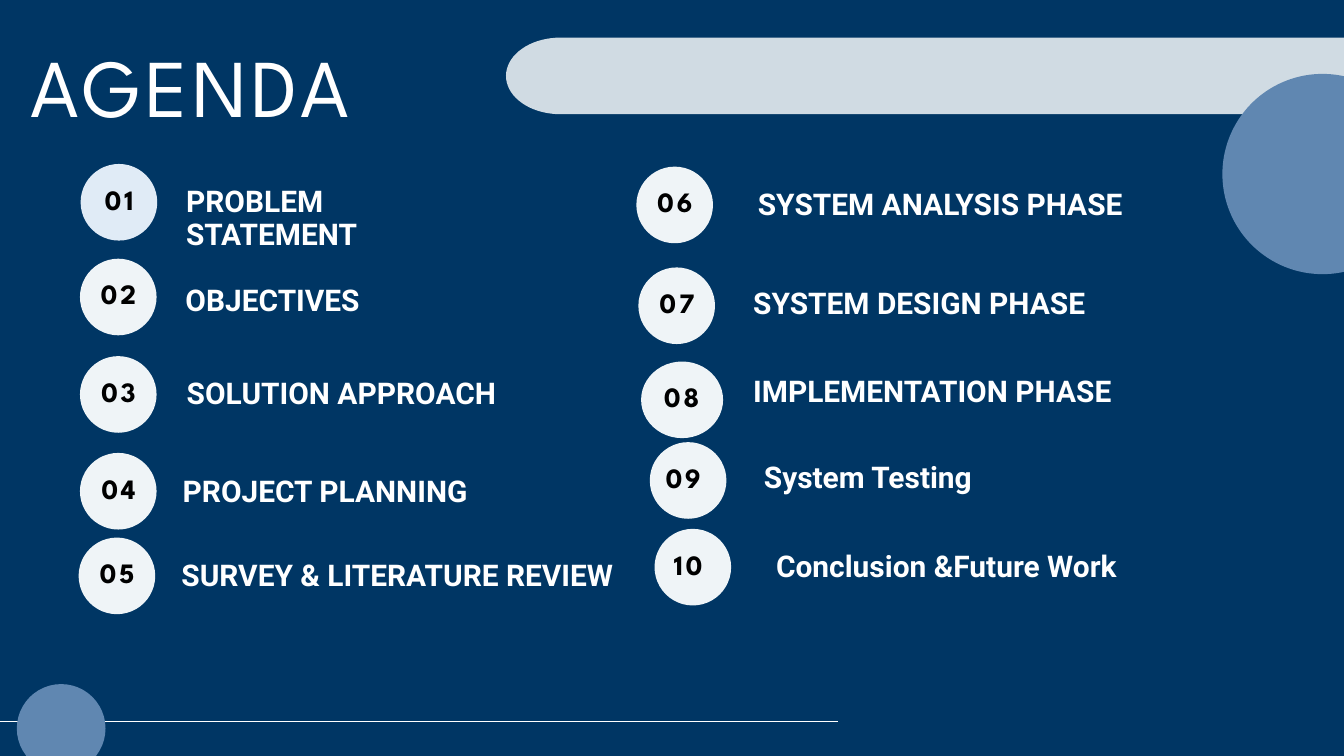
import math

import pptx
import pptx.dml.color
import pptx.enum.shapes
import pptx.enum.text
import pptx.oxml.ns
import pptx.util
from lxml import etree
from pptx.util import Inches

SHAPE = pptx.enum.shapes.MSO_SHAPE
ALIGN = pptx.enum.text.PP_ALIGN
ANCHOR = pptx.enum.text.MSO_ANCHOR


def rgb(value):
    return pptx.dml.color.RGBColor.from_string(value)


def add_text(box, text, font, size, color, leading=None, spacing=0,
             bold=True, inset=(0, 0), align=ALIGN.LEFT, anchor=ANCHOR.TOP):
    tf = s.shapes.add_textbox(*[Inches(v) for v in box]).text_frame
    tf.word_wrap = True
    tf.vertical_anchor = anchor
    tf.margin_left = tf.margin_right = Inches(inset[0])
    tf.margin_top = tf.margin_bottom = Inches(inset[1])
    p = tf.paragraphs[0]
    p.alignment = align
    if leading:
        p.line_spacing = pptx.util.Pt(leading)
    r = p.add_run()
    r.text = text
    r.font.name = font
    r.font.size = pptx.util.Pt(size)
    r.font.bold = bold
    r.font.color.rgb = rgb(color)
    if spacing:
        r.font._element.set("spc", str(round(spacing * 100)))


prs = pptx.Presentation()
prs.slide_width = Inches(20)
prs.slide_height = Inches(11.25)
s = prs.slides.add_slide(prs.slide_layouts[6])
s.background.fill.solid()
s.background.fill.fore_color.rgb = rgb("003664")

# Translucent bar with an elliptical left end
left, top, right, bottom, cap = 7.53, 0.56, 20, 1.7, 0.81
middle, half = (top + bottom) / 2, (bottom - top) / 2
points = [(right, top)]
for step in range(37):
    a = math.radians(step * 5)
    points.append((left + cap - cap * math.sin(a), middle - half * math.cos(a)))
points.append((right, bottom))
fb = s.shapes.build_freeform(Inches(right), Inches(top), scale=1.0)
fb.add_line_segments([(Inches(x), Inches(y)) for x, y in points[1:]], close=True)
bar = fb.convert_to_shape()
bar.shadow.inherit = False
bar.fill.solid()
bar.fill.fore_color.rgb = rgb("EFF4F7")
bar.line.fill.background()
color = bar._element.spPr.find(".//" + pptx.oxml.ns.qn("a:srgbClr"))
etree.SubElement(color, pptx.oxml.ns.qn("a:alpha")).set("val", "87000")

# Title
add_text((0.46, 0.62, 9.54, 1.4), "AGENDA", "League Spartan", 88, "FFFFFF",
         leading=99.4, spacing=4.4, bold=False)

# Footer line
line = s.shapes.add_connector(pptx.enum.shapes.MSO_CONNECTOR.STRAIGHT,
                              Inches(0), Inches(10.74), Inches(12.47), Inches(10.74))
line.line.color.rgb = rgb("FFFFFF")
line.line.width = pptx.util.Pt(1.5)
etree.SubElement(line._element.spPr, pptx.oxml.ns.qn("a:effectLst"))

# Agenda: label, circle left and top, text left, top, width and height
items = [
    ("PROBLEM STATEMENT", 1.2, 2.44, 2.77, 2.75, 4.61, 0.5),
    ("OBJECTIVES", 1.19, 3.85, 2.76, 4.22, 5.2, 0.5),
    ("SOLUTION APPROACH", 1.19, 5.3, 2.68, 5.52, 5.27, 0.64),
    ("PROJECT PLANNING", 1.19, 6.74, 2.62, 6.99, 4.68, 0.64),
    ("SURVEY & LITERATURE REVIEW", 1.17, 8, 2.7, 8.31, 6.77, 0.5),
    ("SYSTEM ANALYSIS PHASE", 9.47, 2.48, 11.18, 2.75, 6.21, 0.61),
    ("SYSTEM DESIGN PHASE", 9.5, 3.98, 11.11, 4.22, 6.2, 0.61),
    ("IMPLEMENTATION PHASE", 9.54, 5.38, 11.11, 5.5, 7.06, 0.64),
    ("System Testing", 9.67, 6.58, 11.27, 6.81, 6.2, 0.61),
    ("Conclusion &Future Work", 9.74, 7.87, 11.45, 8.14, 6.21, 0.61),
]

# Circles: two decorations, then one per agenda item
circles = [(18.19, 1.1, 2.98, 2.98, "6087B1"), (0.25, 10.18, 1.32, 1.32, "6087B1")]
for number, (_, x, y, *_) in enumerate(items, 1):
    circles.append((x, y, 1.22 if number == 8 else 1.14, 1.14,
                    "E0EBF6" if number == 1 else "EFF4F7"))
for x, y, w, h, fill in circles:
    sp = s.shapes.add_shape(SHAPE.OVAL, Inches(x), Inches(y), Inches(w), Inches(h))
    sp.shadow.inherit = False
    sp.fill.solid()
    sp.fill.fore_color.rgb = rgb(fill)
    sp.line.fill.background()

# Numbers and labels
number_widths = {8: 0.99, 9: 0.78, 10: 0.78}
for number, (label, x, y, tx, ty, tw, th) in enumerate(items, 1):
    add_text((x + 0.11, y - 0.07, number_widths.get(number, 0.93), 1.1),
             f"{number:02d}", "League Spartan", 30, "000000", leading=42, spacing=3,
             inset=(0.06, 0.06), align=ALIGN.CENTER, anchor=ANCHOR.MIDDLE)
    add_text((tx, ty, tw, th), label, "Roboto", 32, "FFFFFF",
             leading=None if th == 0.64 else 36,
             inset=(0, 0) if th == 0.5 else (0.1, 0.05))

prs.save("out.pptx")
